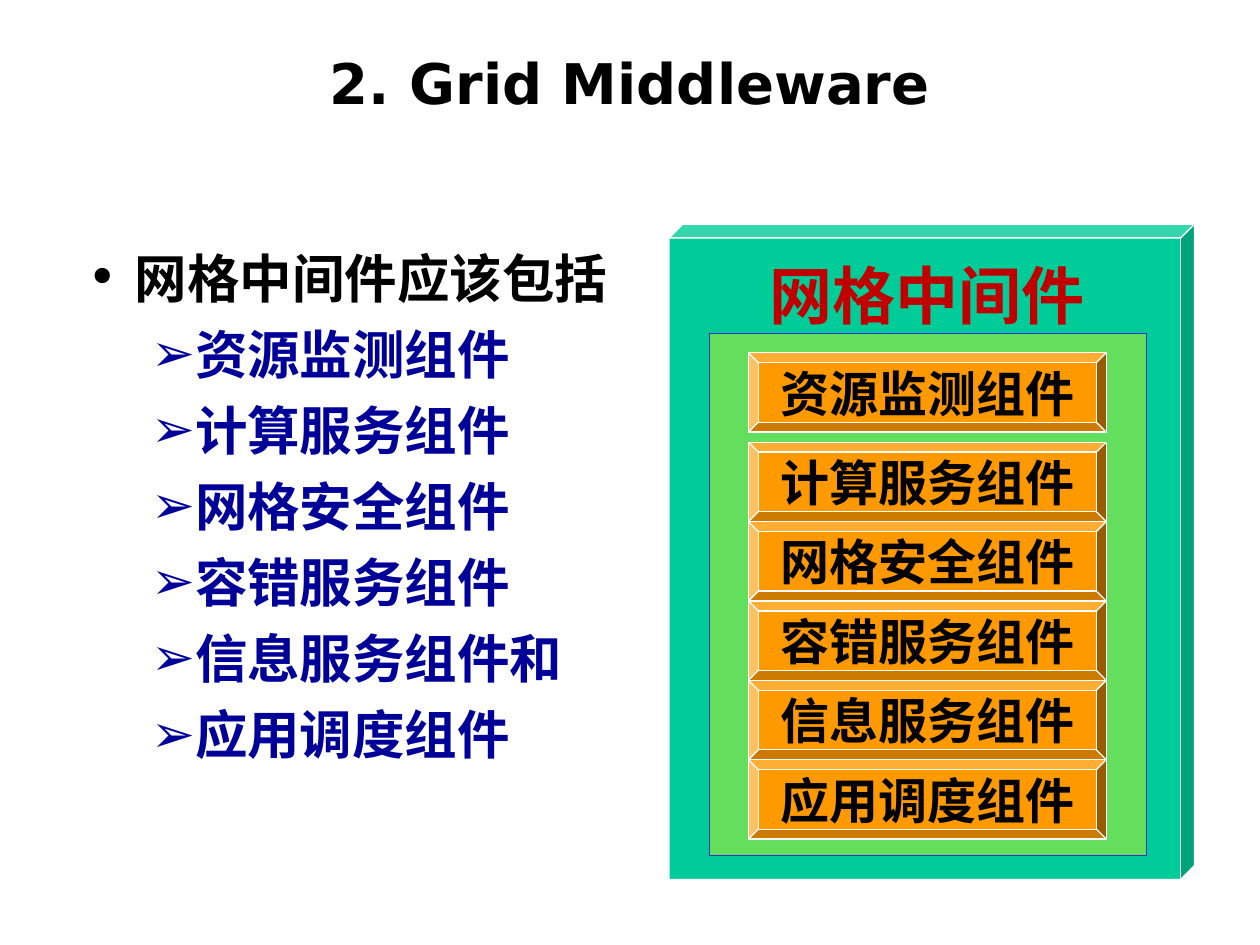
from lxml import etree
from pptx import Presentation
from pptx import util as u
from pptx.dml.color import RGBColor
from pptx.enum import shapes, text
from pptx.oxml.ns import qn

BLACK = RGBColor(0x00, 0x00, 0x00)
WHITE = RGBColor(0xFF, 0xFF, 0xFF)
NAVY = RGBColor(0x00, 0x00, 0x99)
RED = RGBColor(0xC0, 0x00, 0x00)
TEAL = RGBColor(0x00, 0xCC, 0x99)
YELLOW = RGBColor(0xFF, 0xFF, 0x00)
ORANGE = RGBColor(0xFF, 0x99, 0x00)
BLUE = RGBColor(0x33, 0x33, 0xCC)

LATIN = "DejaVu Sans"
CHINESE = "Noto Sans CJK SC"
SERIF = "Times New Roman"

COMPONENTS = ["资源监测组件", "计算服务组件", "网格安全组件",
              "容错服务组件", "信息服务组件", "应用调度组件"]


class SlideBuilder:
    """Holds the style, the current slide and the group of the diagram."""

    def __init__(self, deck):
        self.slide = deck.slides.add_slide(deck.slide_layouts[5])
        self.group = None

    def start_group(self):
        self.group = self.slide.shapes.add_group_shape()

    def add_span(self, para, words, size, color, font=CHINESE):
        span = para.add_run()
        span.text = words
        span.font.size = u.Pt(size)
        span.font.bold = True
        span.font.name = font
        span.font.color.rgb = color
        east = etree.SubElement(span.font._element, qn("a:ea"))
        east.set("typeface", CHINESE)

    def title(self, words, left, top, width, height):
        box = self.slide.shapes.title
        box.left, box.top = u.Inches(left), u.Inches(top)
        box.width, box.height = u.Inches(width), u.Inches(height)
        box.text_frame.vertical_anchor = text.MSO_ANCHOR.MIDDLE
        para = box.text_frame.paragraphs[0]
        para.alignment = text.PP_ALIGN.CENTER
        self.add_span(para, words, 32, BLACK, LATIN)

    def bullet(self, para, mark, color, margin, hang):
        props = para._p.get_or_add_pPr()
        props.set("marL", str(u.Inches(margin)))
        props.set("indent", str(-u.Inches(hang)))
        tint = etree.SubElement(props, qn("a:buClr"))
        etree.SubElement(tint, qn("a:srgbClr")).set("val", str(color))
        etree.SubElement(props, qn("a:buFont")).set("typeface", LATIN)
        etree.SubElement(props, qn("a:buChar")).set("char", mark)

    def outline(self, heading, items, left, top, width, height):
        box = self.slide.shapes.add_textbox(
            u.Inches(left), u.Inches(top), u.Inches(width), u.Inches(height))
        frame = box.text_frame
        frame.word_wrap = True
        para = frame.paragraphs[0]
        self.bullet(para, "•", BLACK, 0.38, 0.38)
        self.add_span(para, heading, 30, BLACK)
        for item in items:
            para = frame.add_paragraph()
            para.level = 1
            para.space_before = u.Pt(7.5)
            self.bullet(para, "➢", NAVY, 0.82, 0.31)
            self.add_span(para, item, 30, NAVY)

    def block(self, kind, left, top, width, height, fill, line, adjust=None):
        box = self.group.shapes.add_shape(
            kind, u.Inches(left), u.Inches(top), u.Inches(width), u.Inches(height))
        box.shadow.inherit = False
        box.fill.solid()
        box.fill.fore_color.rgb = fill
        box.line.color.rgb = line
        box.line.width = u.Pt(0.75)
        if adjust is not None:
            box.adjustments[0] = adjust
        return box

    def fade(self, box, percent):
        color = box.fill._xPr.find(qn("a:solidFill"))[0]
        etree.SubElement(color, qn("a:alpha")).set("val", str(percent * 1000))

    def label(self, box, words, size, color, font=CHINESE):
        frame = box.text_frame
        frame.word_wrap = False
        frame.vertical_anchor = text.MSO_ANCHOR.MIDDLE
        para = frame.paragraphs[0]
        para.alignment = text.PP_ALIGN.CENTER
        self.add_span(para, words, size, color, font)

    def caption(self, words, left, top, width, height):
        box = self.group.shapes.add_textbox(
            u.Inches(left), u.Inches(top), u.Inches(width), u.Inches(height))
        box.text_frame.margin_left = box.text_frame.margin_right = 0
        self.label(box, words, 36, RED)


def main():
    deck = Presentation()
    deck.slide_width, deck.slide_height = u.Inches(10), u.Inches(7.5)
    page = SlideBuilder(deck)
    kinds = shapes.MSO_SHAPE

    # Bulleted list; its fifth item ends with "and"
    items = [name + "和" if name == "信息服务组件" else name for name in COMPONENTS]
    page.outline("网格中间件应该包括", items, 0.59, 1.9, 4.41, 4.45)

    # Title
    page.title("2. Grid Middleware", 0.75, 0.32, 8.5, 0.67)

    # Middleware cube with its translucent panel
    page.start_group()
    page.block(kinds.CUBE, 5.31, 1.78, 4.17, 5.2, TEAL, WHITE, 0.026)
    panel = page.block(kinds.RECTANGLE, 5.63, 2.65, 3.47, 4.14, YELLOW, BLUE)
    page.fade(panel, 39)

    # Component plates: the first stands apart, the others are stacked
    plate_height = 0.63
    for index, name in enumerate(COMPONENTS):
        top = 2.8 if index == 0 else 3.51 + (index - 1) * plate_height
        plate = page.block(kinds.BEVEL, 5.94, top, 2.84, plate_height,
                           ORANGE, WHITE, 0.125)
        page.label(plate, name, 28, BLACK, SERIF if index < 4 else CHINESE)

    # Diagram caption
    page.caption("网格中间件", 6.02, 2.1, 2.68, 0.47)

    deck.save("out.pptx")


if __name__ == "__main__":
    main()
